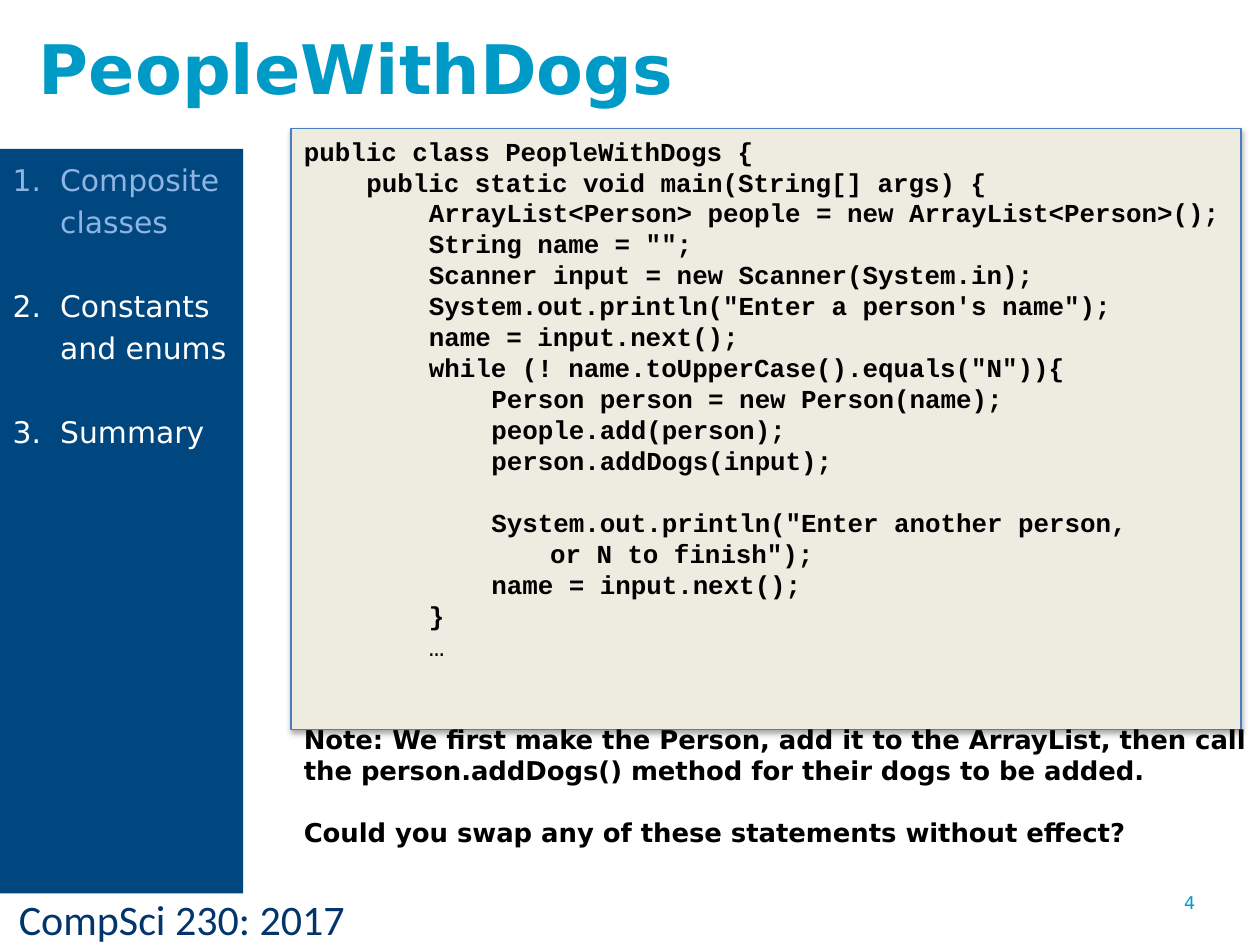
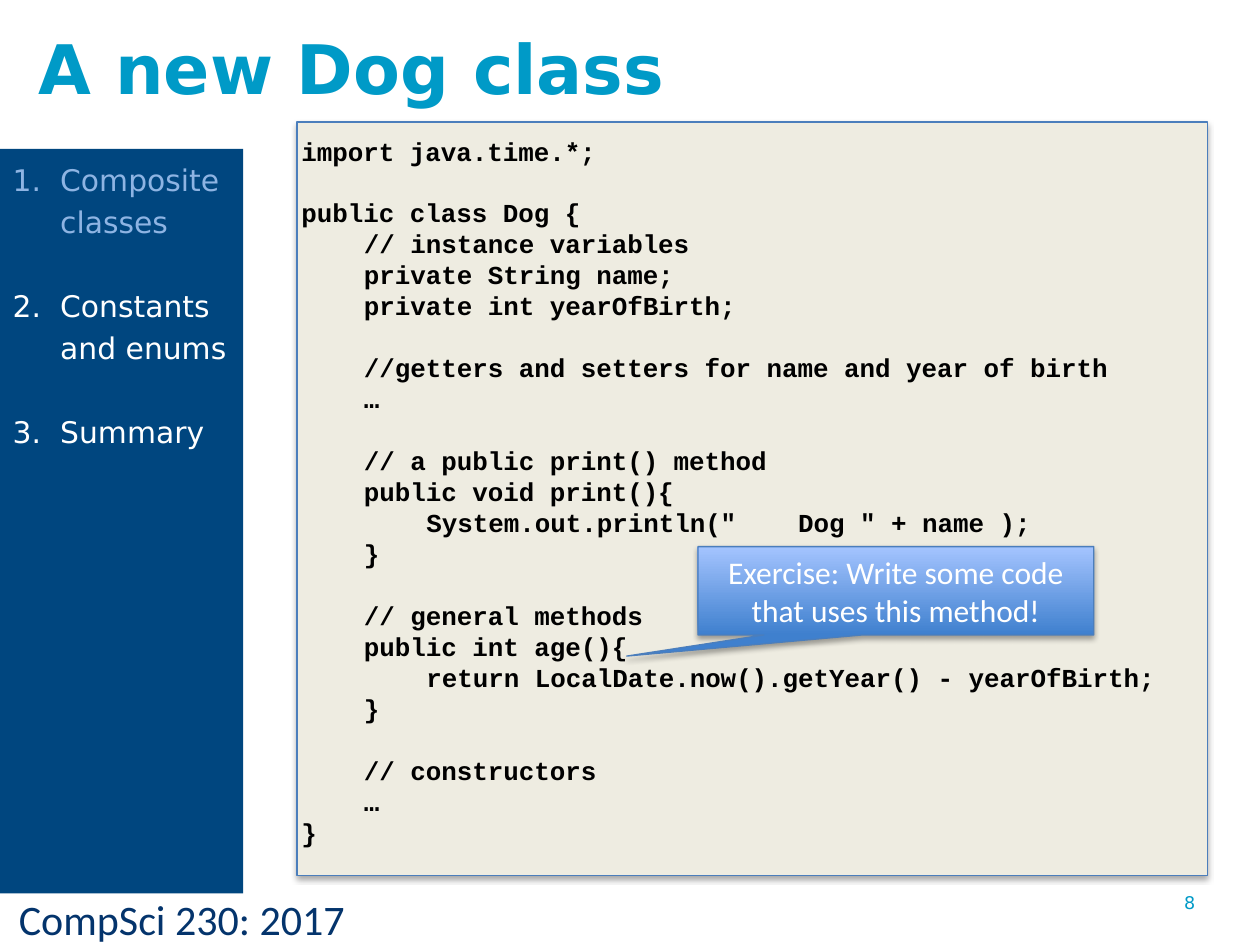
from dataclasses import dataclass

from lxml.etree import SubElement
from pptx import Presentation
from pptx.dml.color import RGBColor
from pptx.enum.shapes import MSO_SHAPE
from pptx.enum.text import MSO_ANCHOR, MSO_AUTO_SIZE, PP_ALIGN
from pptx.oxml.ns import qn
from pptx.util import Cm, Pt


@dataclass(frozen=True)
class Theme:
    """Colours, fonts, type sizes and spacings shared by the slides."""
    accent: str = "009AC7"
    navy: str = "00467F"
    footer: str = "04346C"
    covered: str = "8EB4E3"
    white: str = "FFFFFF"
    black: str = "000000"
    paper: str = "EEECE1"
    outline: str = "4B7EBC"
    callout_bottom: str = "3F80CE"
    callout_top: str = "A4C4FF"
    sans: str = "DejaVu Sans"
    mono: str = "Courier New"
    office: str = "Calibri"
    title_size: float = 39
    footer_size: float = 24
    callout_size: float = 18
    topic_size: float = 17
    code_size: float = 14.8
    number_size: float = 10
    topic_pitch: float = 24
    code_pitch: float = 17.7
    code_indent: float = 1.26


@dataclass(frozen=True)
class Line:
    """One line of a listing: indent level, text, blank lines above, font."""
    level: float
    text: str
    gap: int = 0
    bold: bool = True
    font: str = Theme.mono


THEME = Theme()
TOPICS = [("Composite classes", THEME.covered),
          ("Constants and enums", THEME.white),
          ("Summary", THEME.white)]

PEOPLE_CODE = [
    Line(0, "public class PeopleWithDogs {"),
    Line(1, "public static void main(String[] args) {"),
    Line(2, "ArrayList<Person> people = new ArrayList<Person>();"),
    Line(2, 'String name = "";'),
    Line(2, "Scanner input = new Scanner(System.in);"),
    Line(2, 'System.out.println("Enter a person\'s name");'),
    Line(2, "name = input.next();"),
    Line(2, 'while (! name.toUpperCase().equals("N")){'),
    Line(3, "Person person = new Person(name);"),
    Line(3, "people.add(person);"),
    Line(3, "person.addDogs(input);"),
    Line(3, 'System.out.println("Enter another person,', gap=1),
    Line(3.94, 'or N to finish");'),
    Line(3, "name = input.next();"),
    Line(2, "}"),
    Line(2, "…", bold=False),
    Line(0, "Note: We first make the Person, add it to the ArrayList, then call "
            "the person.addDogs() method for their dogs to be added.",
         gap=2, font=THEME.sans),
    Line(0, "Could you swap any of these statements without effect?",
         gap=1, font=THEME.sans),
]

DOG_CODE = [
    Line(0, "import java.time.*;"),
    Line(0, "public class Dog {", gap=1),
    Line(1, "// instance variables"),
    Line(1, "private String name;"),
    Line(1, "private int yearOfBirth;"),
    Line(1, "//getters and setters for name and year of birth", gap=1),
    Line(1, "…"),
    Line(1, "// a public print() method", gap=1),
    Line(1, "public void print(){"),
    Line(2, 'System.out.println("    Dog " + name );'),
    Line(1, "}"),
    Line(1, "// general methods", gap=1),
    Line(1, "public int age(){"),
    Line(2, "return LocalDate.now().getYear() - yearOfBirth;"),
    Line(1, "}"),
    Line(1, "// constructors", gap=1),
    Line(1, "…"),
    Line(0, "}"),
]


def apply_format(target, **values):
    """Set each named value as an attribute of the target."""
    for name, value in values.items():
        setattr(target, name, value)


def place(shape, left, top, width, height):
    """Position and size a shape in centimetres."""
    apply_format(shape, left=Cm(left), top=Cm(top),
                 width=Cm(width), height=Cm(height))


def write(paragraph, text, font, size, color, bold=False):
    """Add one formatted run to a paragraph."""
    run = paragraph.add_run()
    run.text = text
    apply_format(run.font, name=font, size=Pt(size), bold=bold)
    run.font.color.rgb = RGBColor.from_string(color)


def set_indent(paragraph, left, hanging=0, numbered=False):
    """Set the left margin, hanging indent and numbering of a paragraph."""
    properties = paragraph._p.get_or_add_pPr()
    properties.set("marL", str(Cm(left)))
    properties.set("indent", str(-Cm(hanging)))
    if numbered:
        SubElement(properties, qn("a:buAutoNum"), type="arabicPeriod")
    else:
        SubElement(properties, qn("a:buNone"))


def paragraphs_for(frame, items):
    """Yield each item with its own paragraph, starting at the first one."""
    for index, item in enumerate(items):
        yield (frame.add_paragraph() if index else frame.paragraphs[0]), item


def add_label(slide, box, text, font, size, color):
    """Add a one-line text box."""
    label = slide.shapes.add_textbox(0, 0, 0, 0)
    place(label, *box)
    label.text_frame.word_wrap = True
    write(label.text_frame.paragraphs[0], text, font, size, color)


def add_outlined_shape(slide, kind, box):
    """Add a preset shape with the shared outline and soft shadow."""
    shape = slide.shapes.add_shape(kind, 0, 0, 0, 0)
    place(shape, *box)
    shape.line.color.rgb = RGBColor.from_string(THEME.outline)
    shape.line.width = Pt(0.75)
    shape.shadow.inherit = False
    effects = shape._element.spPr.find(qn("a:effectLst"))
    shadow = SubElement(effects, qn("a:outerShdw"), blurRad=str(Pt(3.1)),
                        dist=str(Pt(1.8)), dir="5400000", rotWithShape="0")
    color = SubElement(shadow, qn("a:srgbClr"), val=THEME.black)
    SubElement(color, qn("a:alpha"), val="35000")
    return shape


def add_code_panel(slide, box):
    """Add the paper-coloured panel behind the listing."""
    panel = add_outlined_shape(slide, MSO_SHAPE.RECTANGLE, box)
    panel.fill.solid()
    panel.fill.fore_color.rgb = RGBColor.from_string(THEME.paper)
    slide.shapes.element.insert(2, panel._element)


def fill_title(slide, text):
    """Format the title placeholder."""
    title = slide.shapes.title
    place(title, 0.53, 0.36, 18.11, 1.98)
    apply_format(title.text_frame, auto_size=MSO_AUTO_SIZE.NONE,
                 vertical_anchor=MSO_ANCHOR.MIDDLE)
    paragraph = title.text_frame.paragraphs[0]
    paragraph.alignment = PP_ALIGN.LEFT
    write(paragraph, text, THEME.sans, THEME.title_size, THEME.accent, True)


def fill_sidebar(placeholder):
    """Turn a body placeholder into the numbered list of topics."""
    place(placeholder, 0, 3, 4.9, 15.01)
    placeholder.fill.solid()
    placeholder.fill.fore_color.rgb = RGBColor.from_string(THEME.navy)
    frame = placeholder.text_frame
    frame.auto_size = MSO_AUTO_SIZE.NONE
    for paragraph, (topic, color) in paragraphs_for(frame, TOPICS):
        gap = 0 if topic == TOPICS[0][0] else THEME.topic_pitch
        apply_format(paragraph, line_spacing=Pt(THEME.topic_pitch),
                     space_before=Pt(gap))
        set_indent(paragraph, 0.96, 0.96, numbered=True)
        write(paragraph, topic, THEME.sans, THEME.topic_size, color)


def fill_code(placeholder, box, lines):
    """Write a listing into a body placeholder."""
    place(placeholder, *box)
    frame = placeholder.text_frame
    apply_format(frame, auto_size=MSO_AUTO_SIZE.NONE, margin_right=0)
    for paragraph, line in paragraphs_for(frame, lines):
        apply_format(paragraph, line_spacing=Pt(THEME.code_pitch),
                     space_before=Pt(line.gap * THEME.code_pitch))
        set_indent(paragraph, line.level * THEME.code_indent)
        write(paragraph, line.text, line.font, THEME.code_size,
              THEME.black, line.bold)


def add_callout(slide, box, tip, text):
    """Add a gradient callout whose tip points at a line of code."""
    callout = add_outlined_shape(slide, MSO_SHAPE.RECTANGULAR_CALLOUT, box)
    for index, value in enumerate(tip):
        callout.adjustments[index] = value
    callout.fill.gradient()
    callout.fill.gradient_angle = 90
    colors = (THEME.callout_bottom, THEME.callout_top)
    for stop, color in zip(callout.fill.gradient_stops, colors):
        stop.color.rgb = RGBColor.from_string(color)
    apply_format(callout.text_frame, word_wrap=True,
                 vertical_anchor=MSO_ANCHOR.MIDDLE)
    paragraph = callout.text_frame.paragraphs[0]
    paragraph.alignment = PP_ALIGN.CENTER
    write(paragraph, text, THEME.office, THEME.callout_size, THEME.white)


def add_code_slide(presentation, title, number, panel_box, code_box, lines):
    """Add a slide with title, topic sidebar, listing and footer."""
    slide = presentation.slides.add_slide(presentation.slide_layouts[3])
    code, sidebar = list(slide.placeholders)[1:]
    fill_title(slide, title)
    fill_sidebar(sidebar)
    fill_code(code, code_box, lines)
    add_code_panel(slide, panel_box)
    add_label(slide, (0.13, 17.88, 10.29, 1.17), "CompSci 230: 2017",
              THEME.office, THEME.footer_size, THEME.footer)
    add_label(slide, (23.62, 17.86, 1.78, 1.19), str(number),
              THEME.sans, THEME.number_size, THEME.accent)
    return slide


def main():
    """Build both slides and save the presentation."""
    presentation = Presentation()
    apply_format(presentation, slide_width=Cm(25.4), slide_height=Cm(19.05))
    add_code_slide(presentation, "PeopleWithDogs", 4,
                   (5.87, 2.59, 19.15, 12.12), (5.87, 2.6, 19.53, 15.29),
                   PEOPLE_CODE)
    dog_slide = add_code_slide(presentation, "A new Dog class", 8,
                               (5.99, 2.46, 18.36, 15.19),
                               (5.82, 2.6, 18.59, 15.65), DOG_CODE)
    add_callout(dog_slide, (14.07, 11.02, 7.98, 1.78), (-0.68, 0.74),
                "Exercise: Write some code that uses this method!")
    presentation.save("out.pptx")


if __name__ == "__main__":
    main()
